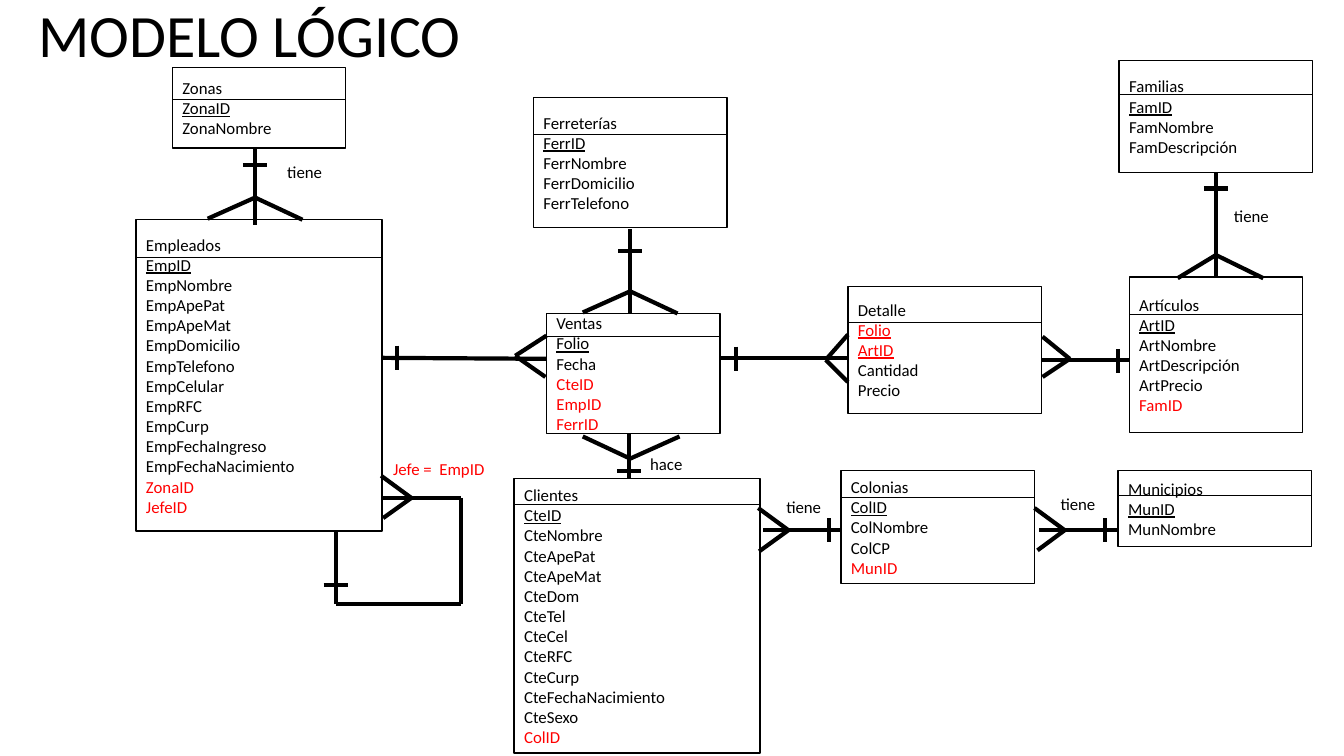
from dataclasses import dataclass
from itertools import pairwise

from lxml.etree import SubElement
from pptx import Presentation
from pptx.dml.color import RGBColor
from pptx.enum.shapes import MSO_CONNECTOR as Connector, MSO_SHAPE as Shape
from pptx.enum.text import MSO_ANCHOR as Anchor, MSO_AUTO_SIZE as AutoSize, PP_ALIGN as Align
from pptx.oxml.ns import qn
from pptx.util import Inches, Pt

BLACK, WHITE, RED = "000000", "FFFFFF", "FF0000"
BAR_HALF = 0.12
Point = tuple[float, float]


@dataclass
class Entity:
    """A table of the model; rule is the height of the line under its name."""
    name: str
    left: float
    top: float
    width: float
    height: float
    rule: float
    fields: str
    keys: int = 1
    foreign: str = ""


@dataclass
class Relation:
    """A route from the many side (crow's foot) to the one side (bar)."""
    route: list[Point]
    foot: list[Point]
    bar: Point


@dataclass
class Label:
    """A caption beside a relation."""
    text: str
    left: float
    top: float
    width: float
    color: str = BLACK


ENTITIES = [
    Entity("Clientes", 5.1, 4.75, 2.44, 2.72, 5,
           "CteID CteNombre CteApePat CteApeMat CteDom CteTel CteCel CteRFC CteCurp "
           "CteFechaNacimiento CteSexo ColID", foreign="ColID"),
    Entity("Colonias", 8.34, 4.67, 1.92, 1.12, 4.93,
           "ColID ColNombre ColCP MunID", foreign="MunID"),
    Entity("Municipios", 11.09, 4.67, 1.92, 0.75, 4.91, "MunID MunNombre"),
    Entity("Ventas", 5.42, 3.11, 1.72, 1.19, 3.34,
           "Folio Fecha CteID EmpID FerrID", foreign="CteID EmpID FerrID"),
    Entity("Empleados", 1.35, 2.18, 2.44, 3.09, 2.55,
           "EmpID EmpNombre EmpApePat EmpApeMat EmpDomicilio EmpTelefono EmpCelular "
           "EmpRFC EmpCurp EmpFechaIngreso EmpFechaNacimiento ZonaID JefeID",
           foreign="ZonaID JefeID"),
    Entity("Zonas", 1.71, 0.67, 1.72, 0.8, 0.99, "ZonaID ZonaNombre"),
    Entity("Familias", 11.1, 0.6, 1.92, 1.11, 0.94, "FamID FamNombre FamDescripción"),
    Entity("Artículos", 11.2, 2.75, 1.72, 1.54, 3.12,
           "ArtID ArtNombre ArtDescripción ArtPrecio FamID", foreign="FamID"),
    Entity("Ferreterías", 5.29, 0.97, 1.92, 1.29, 1.33,
           "FerrID FerrNombre FerrDomicilio FerrTelefono"),
    Entity("Detalle", 8.41, 2.84, 1.92, 1.26, 3.2,
           "Folio ArtID Cantidad Precio", keys=2, foreign="Folio ArtID"),
]

RELATIONS = [
    Relation([(2.53, 2.23), (2.53, 1.47)],
             [(2.06, 2.17), (2.53, 1.96), (3, 2.18)], (2.53, 1.64)),
    Relation([(6.25, 3.11), (6.25, 2.27)],
             [(5.78, 3.1), (6.25, 2.89), (6.72, 3.11)], (6.25, 2.49)),
    Relation([(12.06, 2.76), (12.06, 1.71)],
             [(11.68, 2.76), (12.06, 2.53), (12.53, 2.76)], (12.06, 1.87)),
    Relation([(6.24, 4.3), (6.24, 4.75)],
             [(5.78, 4.33), (6.25, 4.55), (6.74, 4.33)], (6.24, 4.67)),
    Relation([(5.42, 3.56), (3.79, 3.55)],
             [(5.42, 3.33), (5.11, 3.53), (5.41, 3.74)], (3.94, 3.55)),
    Relation([(8.41, 3.55), (7.14, 3.55)],
             [(8.41, 3.32), (8.19, 3.57), (8.41, 3.79)], (7.3, 3.56)),
    Relation([(10.33, 3.57), (11.2, 3.57)],
             [(10.34, 3.34), (10.61, 3.56), (10.34, 3.74)], (11.09, 3.58)),
    Relation([(7.57, 5.26), (8.35, 5.26)],
             [(7.52, 5.04), (7.82, 5.26), (7.53, 5.47)], (8.22, 5.26)),
    Relation([(10.31, 5.26), (11.09, 5.26)],
             [(10.26, 5.04), (10.56, 5.26), (10.29, 5.46)], (10.96, 5.26)),
    Relation([(3.79, 4.94), (4.57, 4.94), (4.57, 5.99), (3.33, 5.99), (3.33, 5.27)],
             [(3.78, 4.72), (4.08, 4.94), (3.8, 5.14)], (3.33, 5.8)),
]

LABELS = [
    Label("tiene", 2.75, 1.56, 0.55),
    Label("tiene", 12.14, 1.99, 0.55),
    Label("hace", 6.35, 4.45, 0.53),
    Label("tiene", 7.7, 4.88, 0.55),
    Label("tiene", 10.42, 4.85, 0.55),
    Label("Jefe =  EmpID", 3.8, 4.5, 1.12, RED),
]


def rgb(color: str) -> RGBColor:
    """Turn a hex string into a colour."""
    return RGBColor.from_string(color)


def write(para, text: str, color: str = BLACK, size: float = 12, underline: bool = False) -> None:
    """Add formatted text to a left-aligned paragraph."""
    para.alignment = Align.LEFT
    span = para.add_run()
    span.text = text
    formats = {"name": "Calibri", "size": Pt(size), "underline": underline}
    for attribute, value in formats.items():
        setattr(span.font, attribute, value)
    span.font.color.rgb = rgb(color)


def draw_line(page, start: Point, end: Point, weight: float = 3) -> None:
    """Draw a straight black line without a shadow."""
    ends = [Inches(value) for value in (*start, *end)]
    line = page.shapes.add_connector(Connector.STRAIGHT, *ends)
    line.line.color.rgb = rgb(BLACK)
    line.line.width = Pt(weight)
    SubElement(line._element.spPr, qn("a:effectLst"))


def draw_entity(page, entity: Entity) -> None:
    """Draw a table box with its name, fields and dividing line."""
    frame = (entity.left, entity.top, entity.width, entity.height)
    box = page.shapes.add_shape(Shape.RECTANGLE, *map(Inches, frame))
    box.shadow.inherit = False
    box.fill.solid()
    box.fill.fore_color.rgb = rgb(WHITE)
    box.line.color.rgb = rgb(BLACK)
    box.line.width = Pt(1)
    text = box.text_frame
    text.vertical_anchor = Anchor.MIDDLE
    write(text.paragraphs[0], entity.name)
    foreign = entity.foreign.split()
    for index, field in enumerate(entity.fields.split()):
        color = RED if field in foreign else BLACK
        write(text.add_paragraph(), field, color, underline=index < entity.keys)
    right = entity.left + entity.width
    draw_line(page, (entity.left, entity.rule), (right, entity.rule), 0.5)


def draw_relation(page, relation: Relation) -> None:
    """Draw the route, the crow's foot and the bar across the last stretch."""
    for start, end in (*pairwise(relation.route), *pairwise(relation.foot)):
        draw_line(page, start, end)
    (x1, y1), (x2, y2) = relation.route[-2:]
    x, y = relation.bar
    if abs(x2 - x1) > abs(y2 - y1):
        draw_line(page, (x, y - BAR_HALF), (x, y + BAR_HALF))
    else:
        draw_line(page, (x - BAR_HALF, y), (x + BAR_HALF, y))


def draw_label(page, label: Label) -> None:
    """Place a one-line caption."""
    frame = (label.left, label.top, label.width, 0.3)
    box = page.shapes.add_textbox(*map(Inches, frame))
    box.text_frame.word_wrap = False
    box.text_frame.auto_size = AutoSize.SHAPE_TO_FIT_TEXT
    write(box.text_frame.paragraphs[0], label.text, label.color)


def draw_title(page, text: str) -> None:
    """Move and format the title placeholder."""
    title = page.shapes.title
    frame = {"left": 0.28, "top": 0, "width": 11.5, "height": 0.75}
    for attribute, value in frame.items():
        setattr(title, attribute, Inches(value))
    title.text_frame.vertical_anchor = Anchor.MIDDLE
    title.text_frame.auto_size = AutoSize.NONE
    para = title.text_frame.paragraphs[0]
    para.line_spacing = 0.9
    write(para, text, size=42.9)


deck = Presentation()
deck.slide_width, deck.slide_height = Inches(13.33), Inches(7.5)
page = deck.slides.add_slide(deck.slide_layouts[5])
draw_title(page, "MODELO LÓGICO")
for entity in ENTITIES:
    draw_entity(page, entity)
for relation in RELATIONS:
    draw_relation(page, relation)
for label in LABELS:
    draw_label(page, label)
deck.save("out.pptx")
